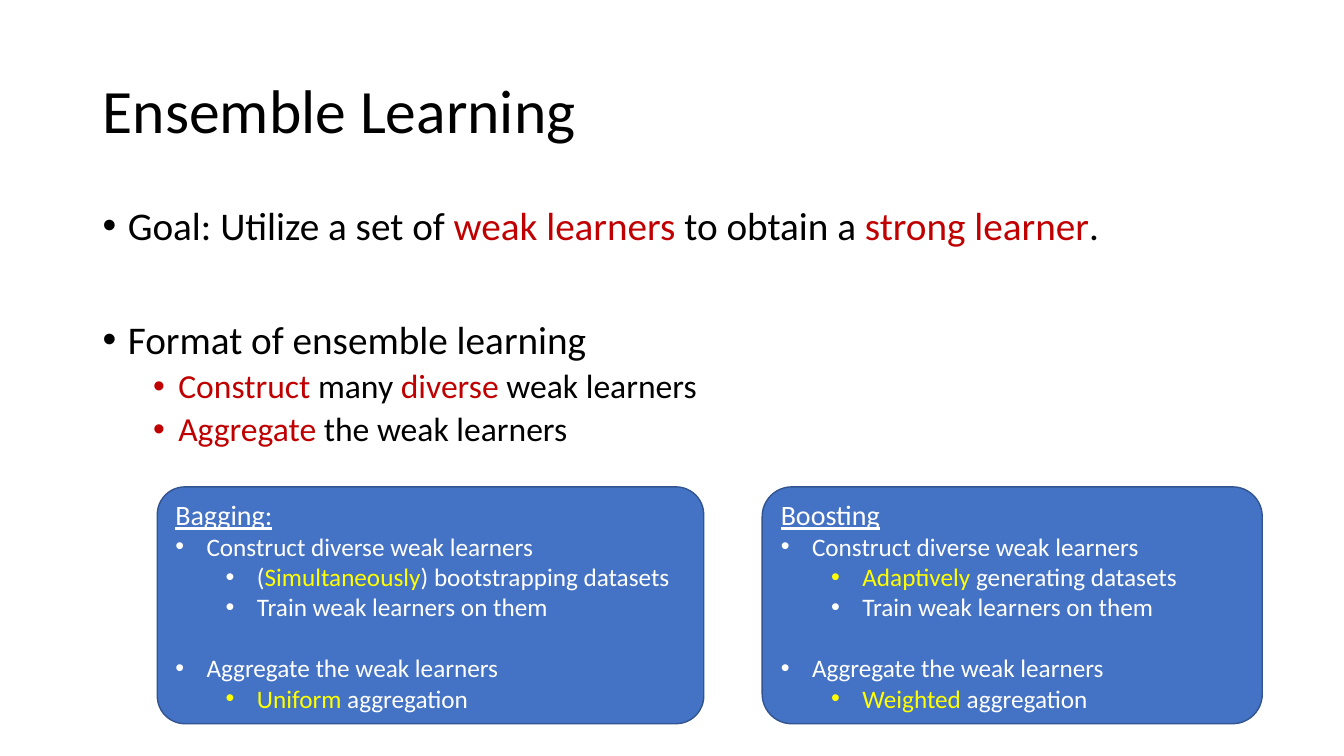
"""Build the ensemble learning slide."""
from dataclasses import dataclass

from lxml import etree
from pptx import Presentation
from pptx.dml.color import RGBColor
from pptx.enum.shapes import MSO_SHAPE
from pptx.enum.text import MSO_ANCHOR, MSO_AUTO_SIZE, PP_ALIGN
from pptx.oxml.ns import qn
from pptx.util import Inches, Pt

ROUND = MSO_SHAPE.ROUNDED_RECTANGLE
MIDDLE = MSO_ANCHOR.MIDDLE
LEFT = PP_ALIGN.LEFT
FIXED = MSO_AUTO_SIZE.NONE

TITLE = "Ensemble Learning"
BODY = [
    (0, "Goal: Utilize a set of *weak learners* to obtain a *strong learner*.", 0),
    (0, "Format of ensemble learning", 51),
    (1, "*Construct* many *diverse* weak learners", 5),
    (1, "*Aggregate* the weak learners", 5),
]
CARDS = [
    ("Bagging:", "(*Simultaneously*) bootstrapping datasets", "*Uniform* aggregation",
     1.56, 5.42, 0.117),
    ("Boosting", "*Adaptively* generating datasets", "*Weighted* aggregation",
     7.56, 4.96, 0.125),
]
CARD_TOP, CARD_TALL = 4.83, 2.35
TITLE_BOX = (0.92, 0.4, 11.5, 1.45)
BODY_BOX = (0.92, 2, 11.5, 4.76)


@dataclass(frozen=True)
class Theme:
    """Hold the colours, font and type sizes."""
    font: str = "Calibri"
    ink: str = "000000"
    red: str = "C00000"
    white: str = "FFFFFF"
    yellow: str = "FFFF00"
    blue: str = "4472C4"
    edge: str = "325491"
    title: int = 44
    body: tuple = (28, 24)
    head: int = 20
    item: int = 18


THEME = Theme()


def color(code):
    """Turn a hex code into a colour."""
    return RGBColor.from_string(code)


def style(para, size, ink):
    """Set the font of a whole paragraph."""
    para.alignment = LEFT
    para.font.name = THEME.font
    para.font.size = Pt(size)
    para.font.color.rgb = color(ink)


def bullet(para, left, hang):
    """Give a paragraph a hanging bullet."""
    props = para._p.get_or_add_pPr()
    props.set("marL", str(Inches(left)))
    props.set("indent", str(-Inches(hang)))
    etree.SubElement(props, qn("a:buFont")).set("typeface", "Arial")
    etree.SubElement(props, qn("a:buChar")).set("char", "•")


def fill(para, text, accent):
    """Add runs, with the starred parts in the accent colour."""
    for index, part in enumerate(text.split("*")):
        if part:
            run = para.add_run()
            run.text = part
            if index % 2:
                run.font.color.rgb = color(accent)


def add_title(slide):
    """Place and format the title."""
    shape = slide.shapes.title
    shape.left, shape.top, shape.width, shape.height = map(Inches, TITLE_BOX)
    frame = shape.text_frame
    frame.text = TITLE
    frame.auto_size = FIXED
    frame.vertical_anchor = MIDDLE
    para = frame.paragraphs[0]
    para.line_spacing = 0.9
    style(para, THEME.title, THEME.ink)


def add_body(slide):
    """Add the main bullet list."""
    frame = slide.shapes.add_textbox(*map(Inches, BODY_BOX)).text_frame
    frame.word_wrap = True
    for index, (level, text, gap) in enumerate(BODY):
        para = frame.add_paragraph() if index else frame.paragraphs[0]
        para.level = level
        bullet(para, 0.25 + 0.5 * level, 0.25)
        para.line_spacing = 0.9
        para.space_before = Pt(gap)
        style(para, THEME.body[level], THEME.ink)
        fill(para, text, THEME.red)


def add_card(slide, head, data, vote, left, width, curve):
    """Add one rounded card with its heading and steps."""
    box = map(Inches, (left, CARD_TOP, width, CARD_TALL))
    card = slide.shapes.add_shape(ROUND, *box)
    card.adjustments[0] = curve
    card.shadow.inherit = False
    card.fill.solid()
    card.fill.fore_color.rgb = color(THEME.blue)
    card.line.color.rgb = color(THEME.edge)
    card.line.width = Pt(1)
    frame = card.text_frame
    frame.word_wrap = True
    frame.vertical_anchor = MIDDLE
    para = frame.paragraphs[0]
    style(para, THEME.head, THEME.white)
    para.font.underline = True
    fill(para, head, THEME.yellow)
    steps = [
        (0, "Construct diverse weak learners", 0),
        (1, data, 0),
        (1, "Train weak learners on them", 0),
        (0, "Aggregate the weak learners", 22),
        (1, vote, 0),
    ]
    for level, text, gap in steps:
        para = frame.add_paragraph()
        para.level = level
        bullet(para, 0.31 + 0.5 * level, 0.31)
        para.space_before = Pt(gap)
        style(para, THEME.item, THEME.white)
        fill(para, text, THEME.yellow)


def main():
    """Build and save the slide."""
    deck = Presentation()
    deck.slide_width, deck.slide_height = Inches(13.33), Inches(7.5)
    slide = deck.slides.add_slide(deck.slide_layouts[5])
    add_title(slide)
    add_body(slide)
    for card in CARDS:
        add_card(slide, *card)
    deck.save("out.pptx")


if __name__ == "__main__":
    main()
